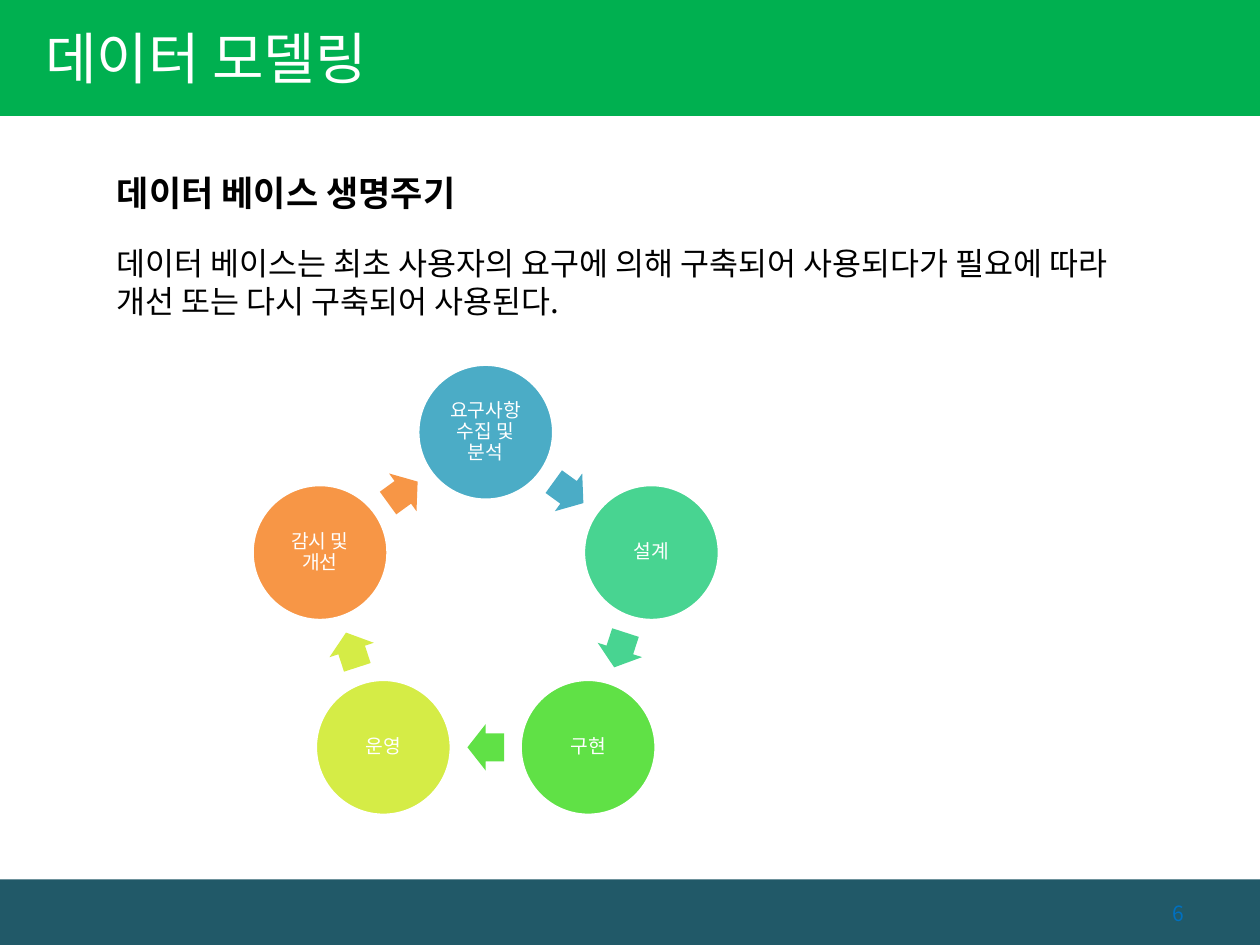
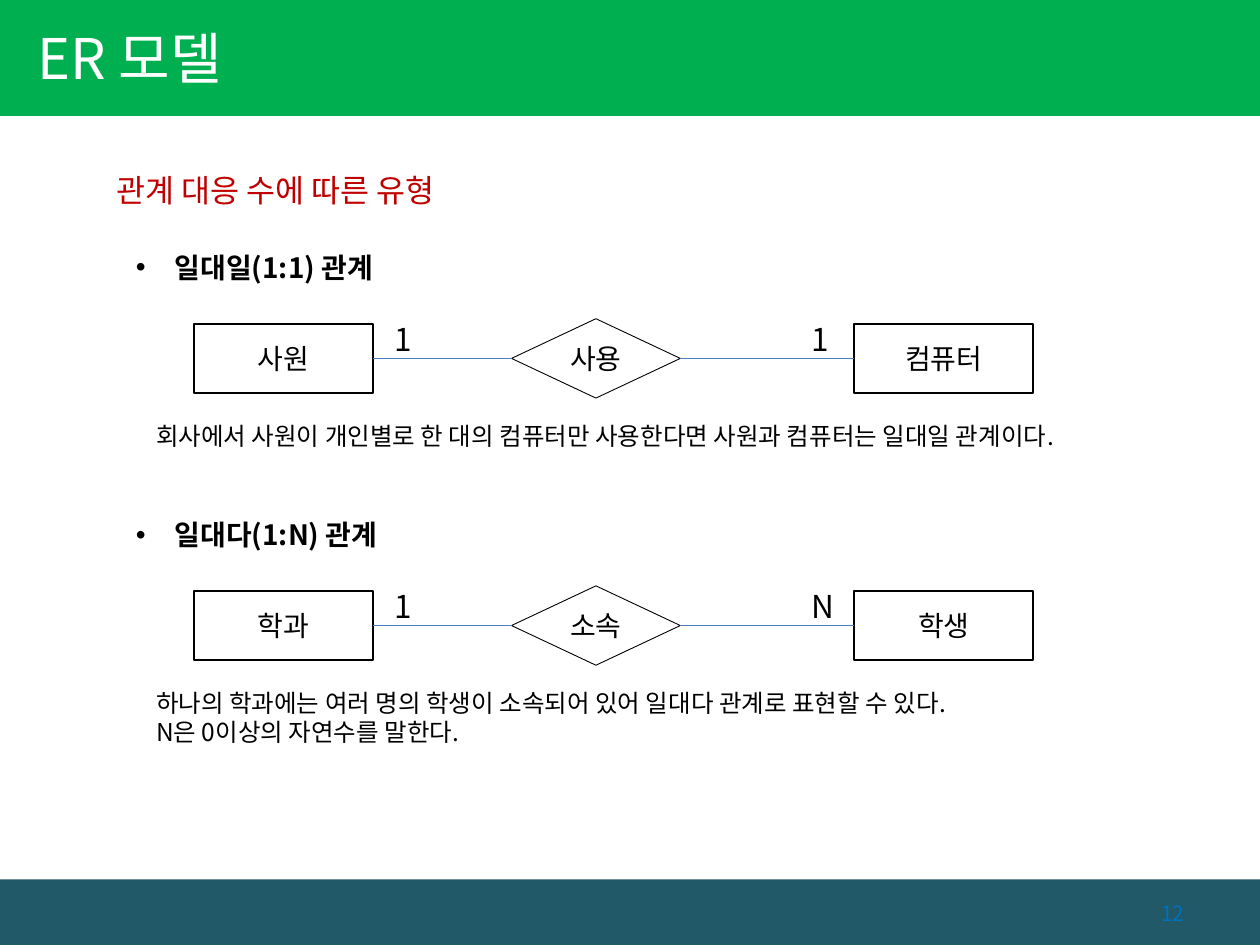
from math import cos, pi, sin

from lxml import etree
from pptx import Presentation
from pptx.dml.color import RGBColor
from pptx.enum.shapes import MSO_CONNECTOR, MSO_SHAPE
from pptx.enum.text import MSO_ANCHOR, PP_ALIGN
from pptx.oxml.ns import qn
from pptx.util import Inches, Pt

RECT, OVAL = MSO_SHAPE.RECTANGLE, MSO_SHAPE.OVAL
DIAMOND, ARROW = MSO_SHAPE.DIAMOND, MSO_SHAPE.RIGHT_ARROW
LINE = MSO_CONNECTOR.STRAIGHT
LEFT, CENTER, RIGHT = PP_ALIGN.LEFT, PP_ALIGN.CENTER, PP_ALIGN.RIGHT
TOP, MIDDLE = MSO_ANCHOR.TOP, MSO_ANCHOR.MIDDLE

FONT = "Noto Sans CJK KR"
COLORS = {
    "white": "FFFFFF", "black": "000000", "red": "C00000",
    "band": "00B050", "foot": "215968", "page": "0070C0", "link": "4B7EBC",
    "teal": "4BACC6", "mint": "48D491", "green": "60E146",
    "lime": "D5EC46", "orange": "F79646",
}
STAGES = [("요구사항 수집 및 분석", "teal"), ("설계", "mint"), ("구현", "green"),
          ("운영", "lime"), ("감시 및 개선", "orange")]
WIDE, HIGH = 10, 7.5


def color(name):
    return RGBColor.from_string(COLORS[name])


def write(shape, text, size=18, ink="black", bold=False, align=LEFT,
          anchor=TOP, inset=(0.1, 0.05), spacing=None, bullet=False):
    frame = shape.text_frame
    frame.word_wrap = True
    frame.vertical_anchor = anchor
    frame.margin_left = frame.margin_right = Inches(inset[0])
    frame.margin_top = frame.margin_bottom = Inches(inset[1])
    for i, words in enumerate(text.split("\n")):
        para = frame.add_paragraph() if i else frame.paragraphs[0]
        para.alignment = align
        if spacing:
            para.line_spacing = spacing
        if bullet:
            props = para._p.get_or_add_pPr()
            props.set("marL", str(Inches(0.31)))
            props.set("indent", str(Inches(-0.31)))
            etree.SubElement(props, qn("a:buFont")).set("typeface", "Arial")
            etree.SubElement(props, qn("a:buChar")).set("char", "•")
        run = para.add_run()
        run.text = words
        font = run.font
        font.size, font.bold, font.name = Pt(size), bold, FONT
        font.color.rgb = color(ink)
        etree.SubElement(run._r.get_or_add_rPr(), qn("a:ea")).set("typeface", FONT)


def label(slide, box, text, **style):
    shape = slide.shapes.add_textbox(*map(Inches, box))
    write(shape, text, **style)


def draw(slide, kind, box, fill=None, line=None, width=1):
    shape = slide.shapes.add_shape(kind, *map(Inches, box))
    shape.shadow.inherit = False
    if fill:
        shape.fill.solid()
        shape.fill.fore_color.rgb = color(fill)
    else:
        shape.fill.background()
    if line:
        shape.line.color.rgb = color(line)
        shape.line.width = Pt(width)
    else:
        shape.line.fill.background()
    return shape


def join(slide, start, end):
    link = slide.shapes.add_connector(LINE, 0, 0, 0, 0)
    link.begin_connect(start, 3)
    link.end_connect(end, 1)
    link.line.color.rgb = color("link")
    link.line.width = Pt(0.75)
    etree.SubElement(link._element.spPr, qn("a:effectLst"))


def frame(deck, title, number, indent):
    slide = deck.slides.add_slide(deck.slide_layouts[6])
    draw(slide, RECT, (0, 6.98, WIDE, 0.52), "foot")
    draw(slide, RECT, (0, 0, WIDE, 0.92), "band")
    label(slide, (0, -0.02, 6.26, 0.94), title, size=32, ink="white",
          anchor=MIDDLE, inset=(indent, 0.05))
    label(slide, (8.5, 7.05, 1, 0.4), str(number), size=12, ink="page",
          align=RIGHT, anchor=MIDDLE)
    return slide


def cycle(slide, box, stages):
    left, top, width, height = box
    size, long, thick = 1.08, 0.29, 0.37
    turn = 2 * pi / len(stages)
    radius = (width - size) / 2 / sin(turn)
    mid_x, mid_y = left + width / 2, top + size / 2 + radius

    def place(angle, reach, wide, high):
        return (mid_x + reach * sin(angle) - wide / 2,
                mid_y - reach * cos(angle) - high / 2, wide, high)

    for i, (text, fill) in enumerate(stages):
        node = draw(slide, OVAL, place(i * turn, radius, size, size),
                    fill, "white", 2)
        write(node, text, size=11, ink="white", align=CENTER, anchor=MIDDLE,
              inset=(0.02, 0.02), spacing=0.9)
        half = (i + 0.5) * turn
        arrow = draw(slide, ARROW,
                     place(half, radius * cos(turn / 2), long, thick), fill)
        arrow.adjustments[0], arrow.adjustments[1] = 0.6, 0.5
        arrow.rotation = (i + 0.5) * 360 / len(stages)


def relate(slide, box, head, names, counts, note):
    left, top, width, height = box
    label(slide, (left, top, 3, 0.37), head, size=16, bold=True, bullet=True)
    first, verb, second = [
        draw(slide, kind, (left + x, top + y, wide, high), None, "black", line)
        for kind, x, y, wide, high, line in (
            (RECT, 0.56, 0.63, 1.42, 0.55, 1),
            (DIAMOND, 3.08, 0.59, 1.34, 0.63, 0.5),
            (RECT, 5.8, 0.63, 1.42, 0.55, 1))]
    for shape, name in zip((first, verb, second), names):
        write(shape, name, size=16, align=CENTER, anchor=MIDDLE)
    join(slide, first, verb)
    join(slide, verb, second)
    for x, count in zip((2.05, 5.36), counts):
        label(slide, (left + x, top + 0.55, 0.39, 0.4), count)
    label(slide, (left + 0.16, top + 1.35, width - 0.16, height - 1.35),
          note, size=14)


def life(deck):
    slide = frame(deck, "데이터 모델링", 6, 0.36)
    label(slide, (0.83, 1.31, 3.46, 0.44), "데이터 베이스 생명주기",
          size=20, bold=True)
    label(slide, (0.83, 1.89, 8.27, 0.71),
          "데이터 베이스는 최초 사용자의 요구에 의해 구축되어 사용되다가 "
          "필요에 따라 개선 또는 다시 구축되어 사용된다.")
    cycle(slide, (2, 2.89, 3.71, 3.57), STAGES)


def model(deck):
    slide = frame(deck, "ER 모델", 12, 0.3)
    label(slide, (0.83, 1.31, 3.07, 0.4), "관계 대응 수에 따른 유형", ink="red")
    relate(slide, (0.98, 1.94, 8.43, 1.7), "일대일(1:1) 관계",
           ("사원", "사용", "컴퓨터"), "11",
           "회사에서 사원이 개인별로 한 대의 컴퓨터만 사용한다면 "
           "사원과 컴퓨터는 일대일 관계이다.")
    relate(slide, (0.98, 4.06, 8.43, 1.93), "일대다(1:N) 관계",
           ("학과", "소속", "학생"), "1N",
           "하나의 학과에는 여러 명의 학생이 소속되어 있어 "
           "일대다 관계로 표현할 수 있다.\nN은 0이상의 자연수를 말한다.")


def main():
    deck = Presentation()
    deck.slide_width, deck.slide_height = Inches(WIDE), Inches(HIGH)
    life(deck)
    model(deck)
    deck.save("out.pptx")


if __name__ == "__main__":
    main()
